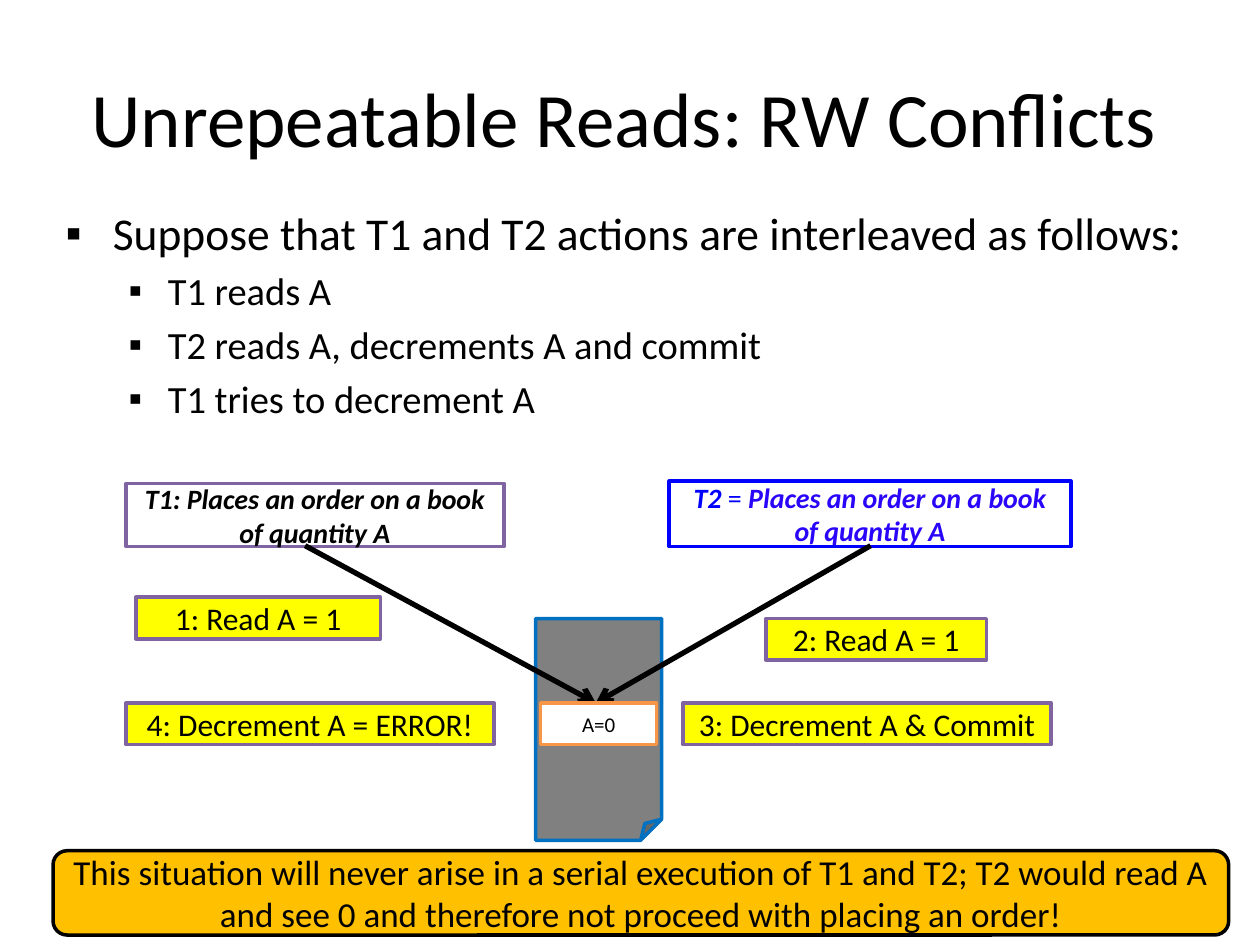
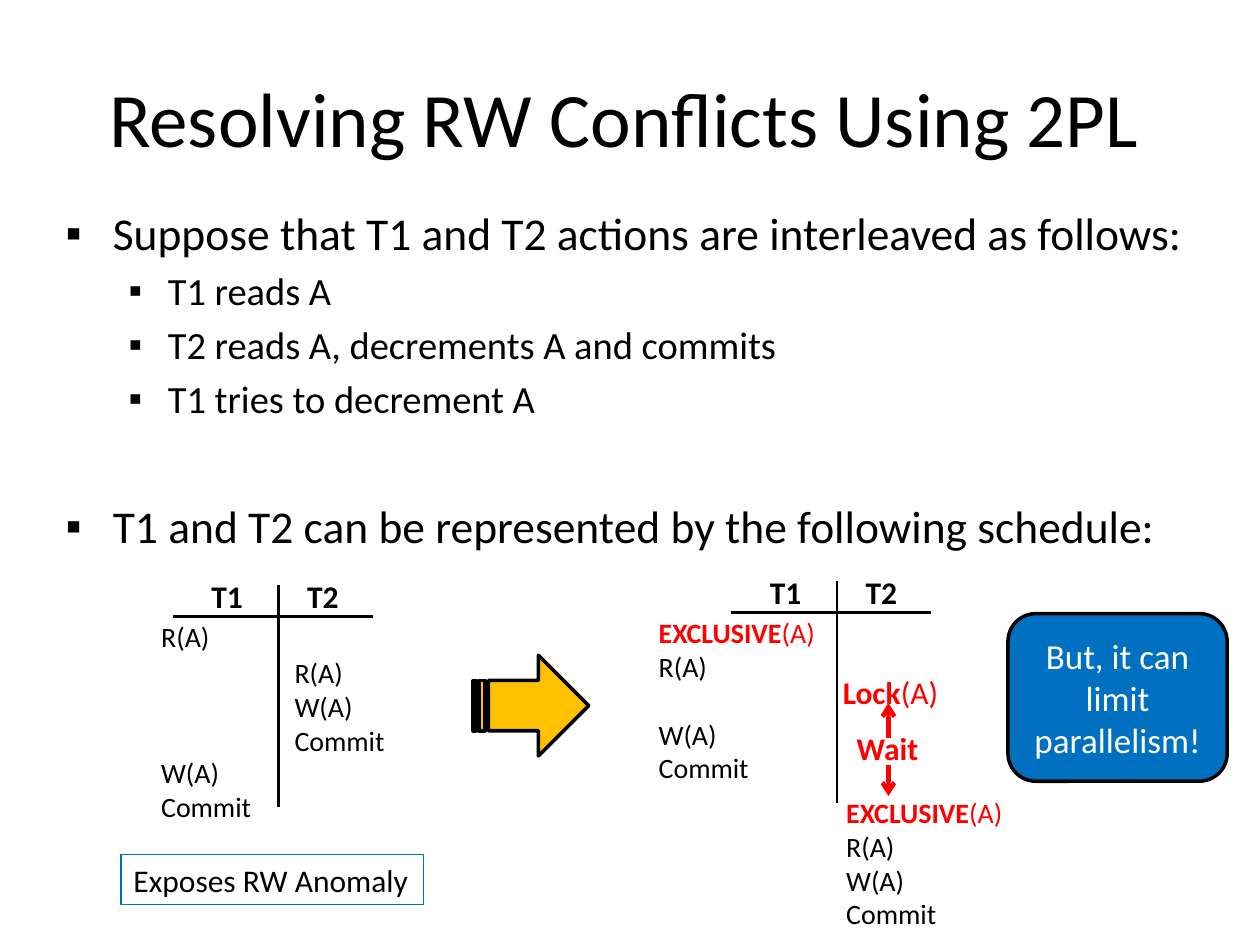
import pptx
import pptx.util
import pptx.dml.color
import pptx.oxml
import pptx.oxml.ns
import pptx.enum.shapes
import pptx.enum.text

Cm, Pt = pptx.util.Cm, pptx.util.Pt
SHAPE = pptx.enum.shapes.MSO_SHAPE
ALIGN = pptx.enum.text.PP_ALIGN
ANCHOR = pptx.enum.text.MSO_ANCHOR
FIT = pptx.enum.text.MSO_AUTO_SIZE

# Shared look
FONT = "Calibri"
BLACK, WHITE, RED, BLUE = "000000", "FFFFFF", "FF0000", "0070C0"
YELLOW, GOLD, PURPLE, ORANGE = "FFFF00", "FFC000", "8064A2", "F79646"
NAVY, VIOLET, GREY = "0000FF", "2906FA", "808080"
ROW = 19.5  # height in points of one schedule row

# Title, then bullets as (level, space before, text)
LEAD = (0, 0, "Suppose that T1 and T2 actions are interleaved as follows:")
READS = (1, 4.4, "T1 reads A")
TRIES = (1, 4.4, "T1 tries to decrement A")
READ_TITLE = "Unrepeatable Reads: RW Conflicts"
READ_LIST = [LEAD, READS, (1, 4.4, "T2 reads A, decrements A and commit"), TRIES]
LOCK_TITLE = "Resolving RW Conflicts Using 2PL"
LOCK_LIST = [LEAD, READS, (1, 4.4, "T2 reads A, decrements A and commits"), TRIES,
             (0, 44, "T1 and T2 can be represented by the following schedule:")]
LEVELS = [(26, 0.95, -0.95), (22, 2.06, -0.79)]  # size, margin, indent

# A run is (text, colour, style); b is bold, i is italic
ORDER = "Places an order on a book of quantity A"
ACTORS = [
    ((2.54, 9.75, 7.62, 1.27), PURPLE, [("T1: " + ORDER, BLACK, "bi")]),
    ((13.49, 9.7, 8.1, 1.32), NAVY,
     [("T2 ", NAVY, "bi"), ("= ", NAVY, ""), (ORDER, VIOLET, "bi")]),
]
STEPS = [  # left, top, width, text
    (2.74, 12.04, 4.93, "1: Read A = 1"),
    (15.44, 12.47, 4.45, "2: Read A = 1"),
    (13.77, 14.17, 7.42, "3: Decrement A & Commit"),
    (2.54, 14.17, 7.42, "4: Decrement A = ERROR!"),
]
STEP_H = 0.84
STOCK = (12.01, 14.17)  # where both orders meet
STARTS = [(6.15, 11), (17.55, 11)]
SERIAL = ("This situation will never arise in a serial execution of T1 and T2; "
          "T2 would read A and see 0 and therefore not proceed with placing an order!")

# Schedules: centre line and top, then columns of (rows skipped, runs)
GRIDS = [(5.61, 11.79), (16.87, 11.71)]


def op(text, skip=0):
    return skip, [(text, BLACK, "")]


def lock(name):
    return 0, [(name, RED, "b"), ("(A)", RED, "")]


COLUMNS = [
    ((3, 12.37, 2.34, 4.37), 16, [op("R(A)"), op("W(A)", 3), op("Commit")]),
    ((5.69, 13.1, 2.34, 2.31), 16, [op("R(A)"), op("W(A)"), op("Commit")]),
    ((13.03, 12.29, 3.71, 3.68), 16,
     [lock("EXCLUSIVE"), op("R(A)"), op("W(A)", 1), op("Commit")]),
    ((16.81, 15.92, 3.71, 3), 16,
     [lock("EXCLUSIVE"), op("R(A)"), op("W(A)"), op("Commit")]),
    ((16.74, 13.44, 2.44, 1.02), 18, [lock("Lock")]),
    ((17.02, 14.58, 1.78, 1.02), 18, [(0, [("Wait", RED, "b")])]),
]
WAITS = [((17.91, 14.88), (17.91, 14.17)), ((17.91, 15.42), (17.91, 16.05))]


def paint(code):
    return pptx.dml.color.RGBColor.from_string(code)


def style(run, size, code=BLACK, marks=""):
    font = run.font
    font.name, font.size = FONT, Pt(size)
    font.bold, font.italic = "b" in marks, "i" in marks
    font.color.rgb = paint(code)


def place(shape, box):
    shape.left, shape.top, shape.width, shape.height = map(Cm, box)


def write(frame, size, rows, align):
    for num, (skip, runs) in enumerate(rows):
        para = frame.paragraphs[0] if num == 0 else frame.add_paragraph()
        para.alignment = align
        para.space_before = Pt(skip * ROW)
        for text, code, marks in runs:
            run = para.add_run()
            run.text = text
            style(run, size, code, marks)


def panel(slide, kind, box, fill, edge, size=0, runs=(), width=2):
    shape = slide.shapes.add_shape(kind, *map(Cm, box))
    shape.shadow.inherit = False
    if fill:
        shape.fill.solid()
        shape.fill.fore_color.rgb = paint(fill)
    else:
        shape.fill.background()
    shape.line.color.rgb = paint(edge)
    shape.line.width = Pt(width)
    if runs:
        frame = shape.text_frame
        frame.word_wrap = True
        frame.vertical_anchor = ANCHOR.MIDDLE
        write(frame, size, [(0, runs)], ALIGN.CENTER)
    return shape


def label(slide, box, size, rows):
    frame = slide.shapes.add_textbox(*map(Cm, box)).text_frame
    frame.word_wrap = False
    frame.auto_size = FIT.SHAPE_TO_FIT_TEXT
    write(frame, size, rows, ALIGN.LEFT)


def line(slide, start, end, code, width, arrow=False):
    kind = pptx.enum.shapes.MSO_CONNECTOR.STRAIGHT
    link = slide.shapes.add_connector(kind, *map(Cm, start + end))
    link.line.color.rgb = paint(code)
    link.line.width = Pt(width)
    props = link._element.spPr
    if arrow:
        tail = pptx.oxml.ns.qn("a:tailEnd")
        props.find(pptx.oxml.ns.qn("a:ln")).makeelement(tail)
        pptx_tail = props.makeelement(tail, {"type": "arrow"})
        props.find(pptx.oxml.ns.qn("a:ln")).append(pptx_tail)
    props.append(props.makeelement(pptx.oxml.ns.qn("a:effectLst")))


def start(deck, title, items):
    """Add a slide with its title and bullet list."""
    slide = deck.slides.add_slide(deck.slide_layouts[1])
    head, body = slide.placeholders
    place(head, (0.2, 0.76, 24.77, 3.18))
    head.text_frame.text = title
    head.text_frame.vertical_anchor = ANCHOR.MIDDLE
    head.text_frame.paragraphs[0].alignment = ALIGN.CENTER
    style(head.text_frame.paragraphs[0].runs[0], 44)

    place(body, (1.07, 4.01, 24, 14.6))
    frame = body.text_frame
    frame.auto_size = FIT.NONE
    frame.text = "\n".join(text for _, _, text in items)
    for para, (level, gap, _) in zip(frame.paragraphs, items):
        size, margin, indent = LEVELS[level]
        para.level = level
        para.space_before = Pt(gap)
        props = para._p.get_or_add_pPr()
        props.set("marL", str(Cm(margin)))
        props.set("indent", str(Cm(indent)))
        props.append(props.makeelement(pptx.oxml.ns.qn("a:buChar"), {"char": "▪"}))
        style(para.runs[0], size)
    return slide


def reads(deck):
    slide = start(deck, READ_TITLE, READ_LIST)
    panel(slide, SHAPE.FOLDED_CORNER, (10.8, 12.47, 2.54, 4.47), GREY, BLUE)
    # Orders and their arrows to the stock
    for box, edge, runs in ACTORS:
        panel(slide, SHAPE.RECTANGLE, box, WHITE, edge, 16, runs)
    for point in STARTS:
        line(slide, point, STOCK, BLACK, 3, True)
    panel(slide, SHAPE.RECTANGLE, (10.9, 14.17, 2.34, STEP_H), WHITE, ORANGE,
          12, [("A=0", BLACK, "")])
    # Numbered steps
    for left, top, wide, text in STEPS:
        panel(slide, SHAPE.RECTANGLE, (left, top, wide, STEP_H), YELLOW, PURPLE,
              18, [(text, BLACK, "")])
    panel(slide, SHAPE.ROUNDED_RECTANGLE, (1.07, 17.15, 23.7, 1.7), GOLD, BLACK,
          20, [(SERIAL, BLACK, "")])


def locks(deck):
    slide = start(deck, LOCK_TITLE, LOCK_LIST)
    # Schedule rules and heads
    for mid, top in GRIDS:
        line(slide, (mid, top), (mid, top + 4.47), BLACK, 1.5)
        line(slide, (mid - 2.13, top + 0.64), (mid + 1.9, top + 0.64), BLACK, 1.5)
        for name, shift in (("T1", -1.6), ("T2", 0.33)):
            label(slide, (mid + shift, top - 0.28, 1.14, 1.02), 18,
                  [(0, [(name, BLACK, "b")])])
    # Schedule entries
    for box, size, rows in COLUMNS:
        label(slide, box, size, rows)
    for tail, tip in WAITS:
        line(slide, tail, tip, RED, 2.5, True)
    # Verdicts
    note = panel(slide, SHAPE.RECTANGLE, (2.44, 17.22, 6.1, 1.02), None, BLUE,
                 18, [("Exposes RW Anomaly", BLACK, "")], 0.75)
    note.text_frame.word_wrap = False
    note.text_frame.paragraphs[0].alignment = ALIGN.LEFT
    panel(slide, SHAPE.STRIPED_RIGHT_ARROW, (9.53, 13.21, 2.34, 2.03), GOLD, BLACK)
    panel(slide, SHAPE.ROUNDED_RECTANGLE, (20.32, 12.37, 4.42, 3.38), BLUE, BLACK,
          20, [("But, it can limit parallelism!", WHITE, "")])


def main():
    deck = pptx.Presentation()
    deck.slide_width, deck.slide_height = Cm(25.4), Cm(19.05)
    reads(deck)
    locks(deck)
    deck.save("out.pptx")


if __name__ == "__main__":
    main()
